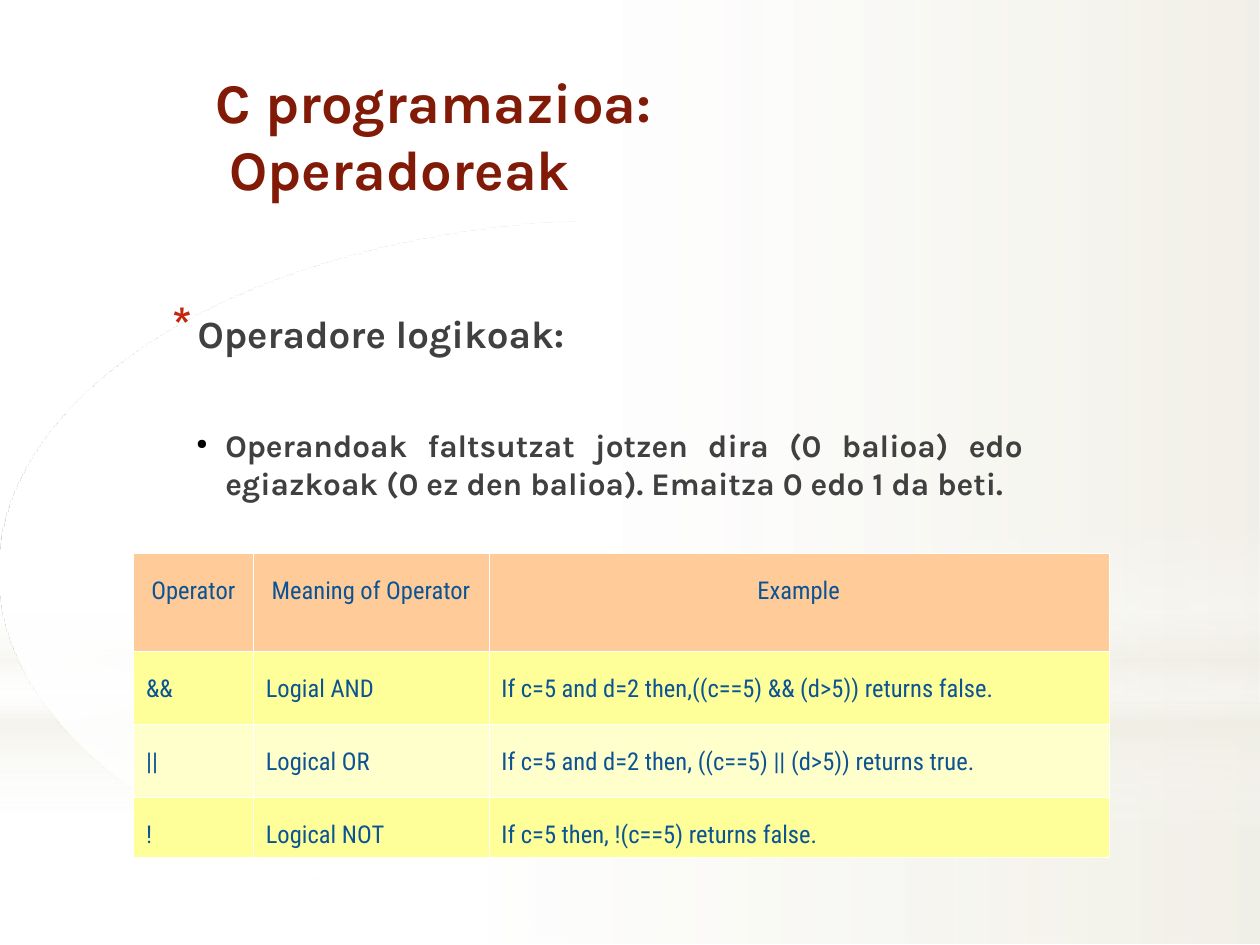
from dataclasses import dataclass

from lxml import etree
from pptx import Presentation
from pptx.dml.color import RGBColor
from pptx.enum.shapes import MSO_SHAPE
from pptx.enum.text import MSO_ANCHOR, PP_ALIGN
from pptx.oxml.ns import qn
from pptx.util import Inches, Pt

RECT, OVAL = MSO_SHAPE.RECTANGLE, MSO_SHAPE.OVAL
LEFT, CENTER, JUSTIFY = PP_ALIGN.LEFT, PP_ALIGN.CENTER, PP_ALIGN.JUSTIFY
TOP, MIDDLE = MSO_ANCHOR.TOP, MSO_ANCHOR.MIDDLE
SLIDE_W, SLIDE_H = Inches(10), Inches(7.5)
TITLE_ONLY = 5


@dataclass(frozen=True)
class Theme:
    heading_font: str = "Karla"
    table_font: str = "Roboto Condensed"
    title_size: int = 32
    topic_size: int = 22
    detail_size: int = 18
    table_size: int = 14
    title: str = "821A08"
    body: str = "404040"
    star: str = "C3260C"
    dot: str = "000000"
    cell_text: str = "0B5394"
    header_fill: str = "FFCC99"
    row_fills: tuple = ("FFFF99", "FFFFCC")
    white: str = "FFFFFF"
    cream: str = "EEECE1"


THEME = Theme()

# Backdrop: preset, box in percent of the slide, angle, stops (place, colour, opacity)
BACKDROP = [
    (RECT, (0, 74.4, 100, 25.47), 0,
     [(0, THEME.white, 91), (37, THEME.white, 76), (100, THEME.cream, 79)]),
    (RECT, (0, 0, 100, 74.4), 0,
     [(0, THEME.white, 89), (48, THEME.white, 62), (100, THEME.cream, 79)]),
    (RECT, (0, 54.93, 100, 33.33), 90,
     [(0, THEME.white, 0), (29, THEME.white, 30), (45, THEME.cream, 40),
      (55, THEME.white, 26), (65, THEME.cream, 60), (100, THEME.white, 0)]),
    (OVAL, (0, 23.33, 100, 74.4), 0,
     [(0, THEME.white, 100), (56, THEME.white, 0)]),
]

OPERATORS = [
    ("Operator", "Meaning of Operator", "Example"),
    ("&&", "Logial AND", "If c=5 and d=2 then,((c==5) && (d>5)) returns false."),
    ("||", "Logical OR", "If c=5 and d=2 then, ((c==5) || (d>5)) returns true."),
    ("!", "Logical NOT", "If c=5 then, !(c==5) returns false."),
]
COLUMN_SHARES = (9.5, 18.7, 49.2)
ROW_SHARES = (10.4, 7.73, 7.73, 4.53)


def across(percent):
    return round(SLIDE_W * percent / 100)


def down(percent):
    return round(SLIDE_H * percent / 100)


def box(left, top, width, height):
    return across(left), down(top), across(width), down(height)


def add_node(parent, tag, **attributes):
    values = {name: str(value) for name, value in attributes.items()}
    return etree.SubElement(parent, qn(tag), values)


def style(paragraph, font_name, size, color, bold, align):
    paragraph.alignment = align
    font = paragraph.font
    font.name, font.size, font.bold = font_name, Pt(size), bold
    font.color.rgb = RGBColor.from_string(color)


def add_gradient_shape(slide, preset, area, angle, stops):
    shape = slide.shapes.add_shape(preset, *box(*area))
    shape.shadow.inherit = False
    shape.line.fill.background()
    shape.fill.gradient()
    shape.fill.gradient_angle = 0
    gradient = shape._element.spPr.find(qn("a:gradFill"))
    stop_list = gradient.find(qn("a:gsLst"))
    for old_stop in list(stop_list):
        stop_list.remove(old_stop)
    for place, color, opacity in stops:
        stop = add_node(stop_list, "a:gs", pos=place * 1000)
        rgb = add_node(stop, "a:srgbClr", val=color)
        add_node(rgb, "a:alpha", val=opacity * 1000)
    gradient.find(qn("a:lin")).set("ang", str(angle * 60000))


def set_title(slide, text):
    title = slide.shapes.title
    title.left, title.top, title.width, title.height = box(16.1, 5.87, 76.3, 16.67)
    title.text_frame.text = text
    title.text_frame.vertical_anchor = MIDDLE
    style(title.text_frame.paragraphs[0], THEME.heading_font, THEME.title_size,
          THEME.title, True, LEFT)
    slide.shapes._spTree.append(title._element)  # in front of the backdrop


def add_bullet(paragraph, text, size, before, margin, hanging, mark, color, scale):
    paragraph.text = text
    style(paragraph, THEME.heading_font, size, THEME.body, True, JUSTIFY)
    paragraph.space_before, paragraph.space_after = Pt(before), Pt(3)
    props = paragraph._p.get_or_add_pPr()
    props.set("marL", str(across(margin)))
    props.set("indent", str(-across(hanging)))
    mark_props = [add_node(props, "a:buClr"),
                  add_node(props, "a:buSzPct", val=scale * 1000),
                  add_node(props, "a:buChar", char=mark)]
    add_node(mark_props[0], "a:srgbClr", val=color)
    # Bullet settings come before the default run settings
    defaults = props.find(qn("a:defRPr"))
    for node in mark_props:
        defaults.addprevious(node)


def add_body(slide):
    frame = slide.shapes.add_textbox(*box(12.2, 32.13, 70, 50.67)).text_frame
    frame.word_wrap = True
    add_bullet(frame.paragraphs[0], "Operadore logikoak:", THEME.topic_size,
               4, 2.5, 2, "*", THEME.star, 130)
    add_bullet(frame.add_paragraph(),
               "Operandoak faltsutzat jotzen dira (0 balioa) edo egiazkoak "
               "(0 ez den balioa). Emaitza 0 edo 1 da beti.",
               THEME.detail_size, 37, 4.7, 2.3, "●", THEME.dot, 45)


def set_borders(cell):
    props = cell._tc.get_or_add_tcPr()
    for index, side in enumerate(("a:lnL", "a:lnR", "a:lnT", "a:lnB")):
        line = add_node(props, side, w=Pt(0.06))
        add_node(add_node(line, "a:solidFill"), "a:srgbClr", val=THEME.white)
        props.insert(index, line)


def fill_cell(cell, text, fill, align):
    cell.text = text
    cell.vertical_anchor = TOP
    cell.fill.solid()
    cell.fill.fore_color.rgb = RGBColor.from_string(fill)
    paragraph = cell.text_frame.paragraphs[0]
    style(paragraph, THEME.table_font, THEME.table_size, THEME.cell_text, False, align)
    paragraph.line_spacing = 1.6
    set_borders(cell)


def add_operator_table(slide):
    area = box(10.6, 58.53, sum(COLUMN_SHARES), sum(ROW_SHARES))
    table = slide.shapes.add_table(len(OPERATORS), len(COLUMN_SHARES), *area).table
    for column, share in zip(table.columns, COLUMN_SHARES):
        column.width = across(share)
    for row, share in zip(table.rows, ROW_SHARES):
        row.height = down(share)
    for r, texts in enumerate(OPERATORS):
        fill = THEME.row_fills[(r - 1) % 2] if r else THEME.header_fill
        for c, text in enumerate(texts):
            fill_cell(table.cell(r, c), text, fill, LEFT if r else CENTER)


def main():
    deck = Presentation()
    deck.slide_width, deck.slide_height = SLIDE_W, SLIDE_H
    slide = deck.slides.add_slide(deck.slide_layouts[TITLE_ONLY])
    for layer in BACKDROP:
        add_gradient_shape(slide, *layer)
    set_title(slide, "C programazioa:\v Operadoreak")
    add_body(slide)
    add_operator_table(slide)
    deck.save("out.pptx")


if __name__ == "__main__":
    main()
